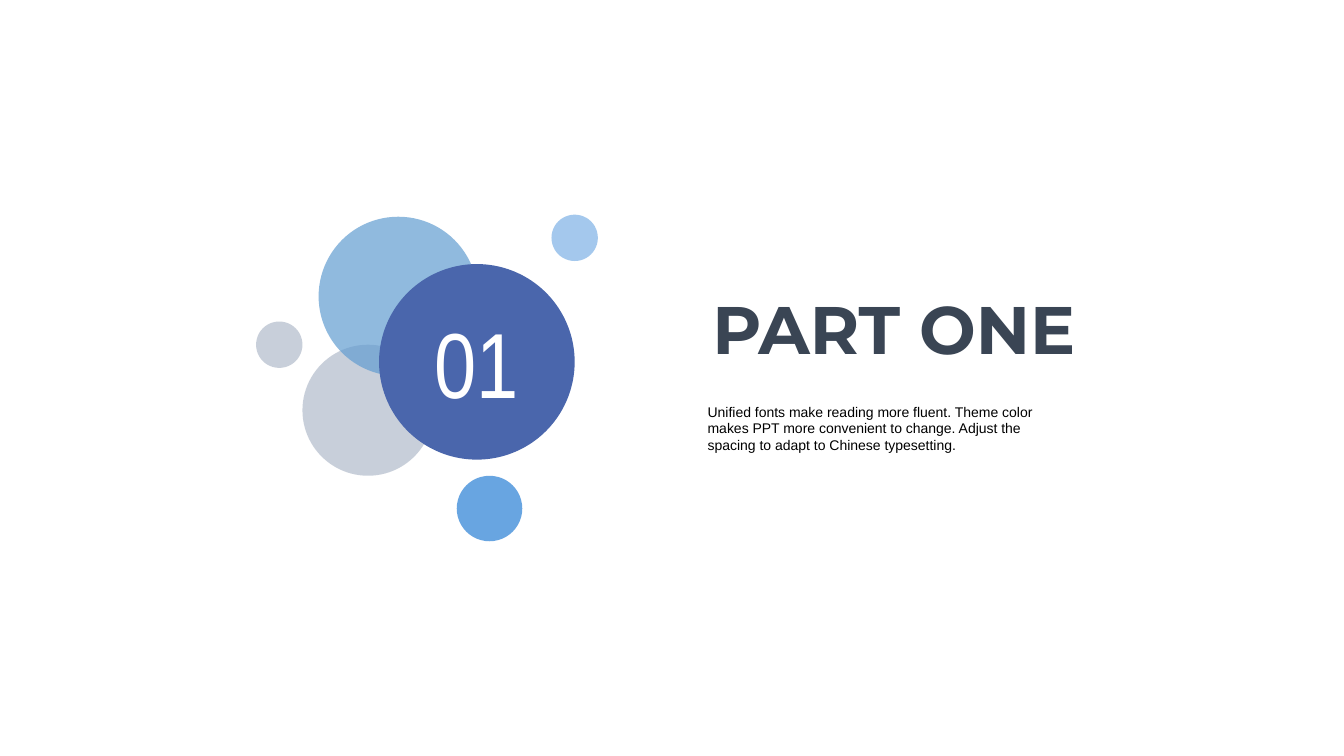
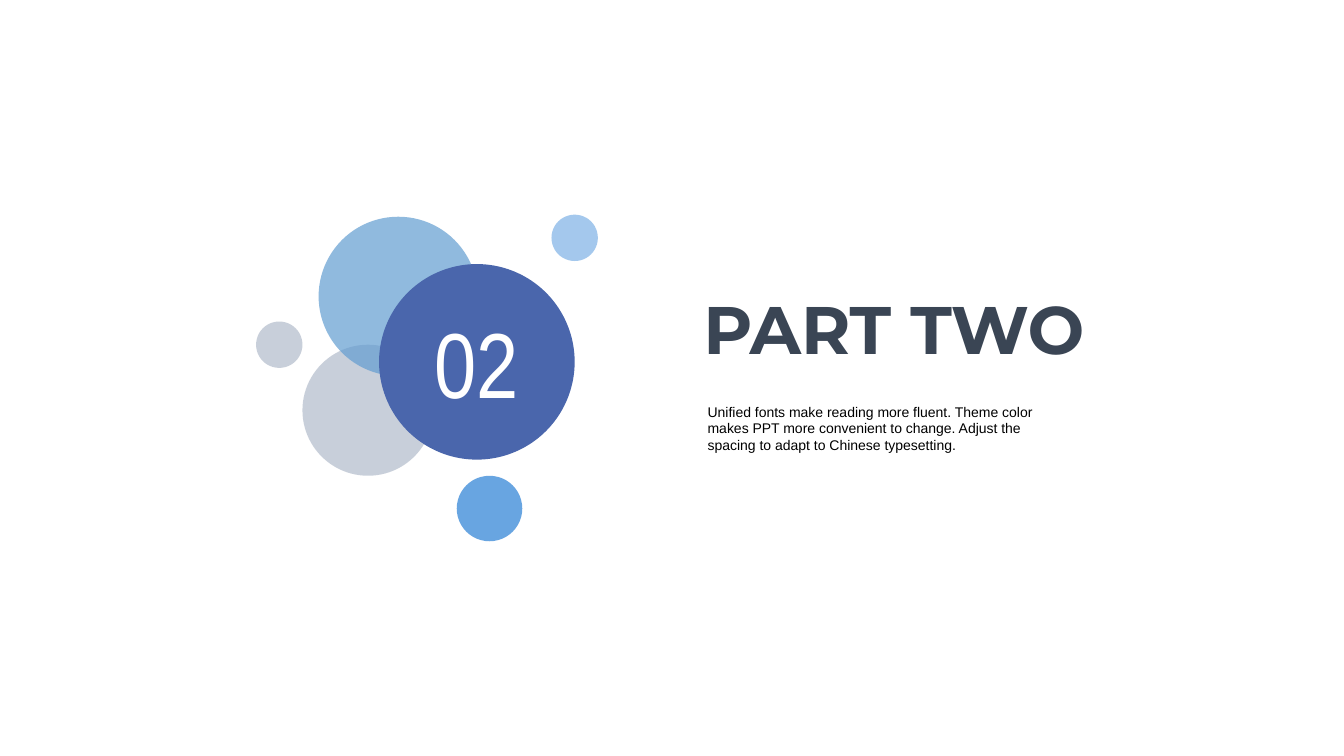
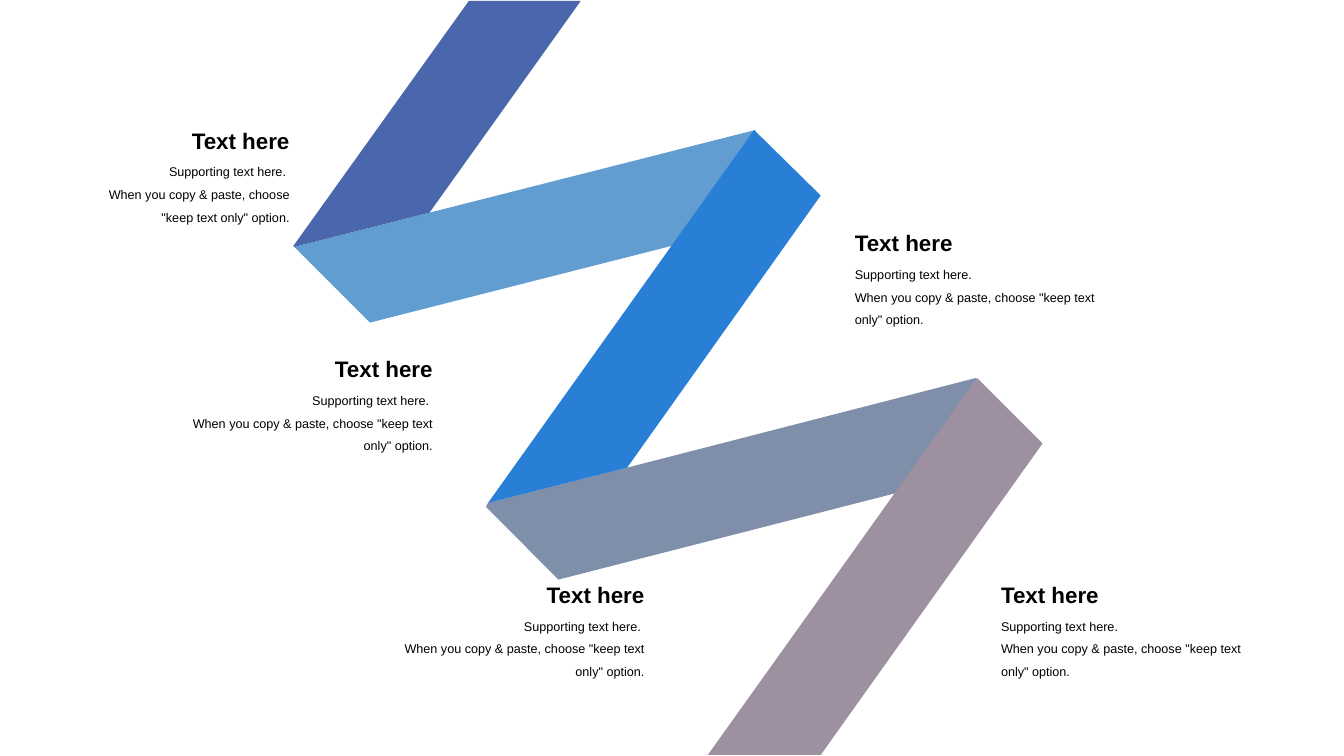
import lxml.etree
import pptx
import pptx.dml.color
import pptx.enum.shapes
import pptx.enum.text
import pptx.oxml.ns
import pptx.util

Inches = pptx.util.Inches
RGBColor = pptx.dml.color.RGBColor
ALIGN = pptx.enum.text.PP_ALIGN
ANCHOR = pptx.enum.text.MSO_ANCHOR

INDIGO = RGBColor(0x4A, 0x66, 0xAC)
SKY = RGBColor(0x62, 0x9D, 0xD1)
BLUE = RGBColor(0x29, 0x7F, 0xD5)
PALE_BLUE = RGBColor(0x7E, 0xB2, 0xE6)
MIST = RGBColor(0xB2, 0xBC, 0xCB)
SLATE = RGBColor(0x7F, 0x8F, 0xA9)
MAUVE = RGBColor(0x9D, 0x90, 0xA0)
NAVY = RGBColor(0x3A, 0x45, 0x54)
BLACK = RGBColor(0, 0, 0)
WHITE = RGBColor(0xFF, 0xFF, 0xFF)

SUMMARY = (
    "Unified fonts make reading more fluent. Theme color makes PPT more "
    "convenient to change. Adjust the spacing to adapt to Chinese typesetting."
)
ADVICE = 'When you copy & paste, choose "keep text only" option.'

BUBBLES = [
    (3, 3.42, 1.3, MIST, 70),
    (3.16, 2.15, 1.58, SKY, 70),
    (3.76, 2.62, 1.94, INDIGO, 100),
    (4.53, 4.72, 0.65, BLUE, 70),
    (2.54, 3.19, 0.46, MIST, 70),
    (5.47, 2.13, 0.46, PALE_BLUE, 70),
]

RIBBON = [
    (SLATE, [(9.68, 3.75), (6.22, 4.64), (4.84, 4.99), (4.82, 5.03),
             (5.54, 5.75), (9.91, 4.63)]),
    (SKY, [(7.49, 1.29), (2.92, 2.45), (3.67, 3.2), (7.72, 2.17)]),
    (INDIGO, [(2.92, 2.45), (4.26, 2.11), (5.76, 0.01), (4.65, 0.01),
              (2.91, 2.44)]),
    (MAUVE, [(9.69, 3.75), (7.02, 7.49), (8.14, 7.49), (10.34, 4.4)]),
    (BLUE, [(8.14, 1.94), (7.48, 1.29), (4.84, 4.99), (6.22, 4.64)]),
]

CALLOUTS = [
    (9.83, 5.71, 2.69, ALIGN.LEFT),
    (0.73, 1.2, 2.24, ALIGN.RIGHT),
    (3.86, 5.71, 2.63, ALIGN.RIGHT),
    (8.38, 2.22, 2.69, ALIGN.LEFT),
    (1.76, 3.47, 2.63, ALIGN.RIGHT),
]


def write(frame, text, size=10, font="Arial", color=BLACK, bold=False,
          align=ALIGN.LEFT, anchor=ANCHOR.MIDDLE, spacing=1.0, wrap=True):
    frame.word_wrap = wrap
    frame.vertical_anchor = anchor
    for index, line in enumerate(text.split("\n")):
        paragraph = frame.add_paragraph() if index else frame.paragraphs[0]
        paragraph.alignment = align
        paragraph.line_spacing = spacing
        run = paragraph.add_run()
        run.text = line
        run.font.size = pptx.util.Pt(size)
        run.font.name = font
        run.font.bold = bold
        run.font.color.rgb = color


class Deck:
    def __init__(self):
        self.presentation = pptx.Presentation()
        self.presentation.slide_width = Inches(13.33)
        self.presentation.slide_height = Inches(7.5)
        self.slide = None

    def new_slide(self):
        self.slide = self.presentation.slides.add_slide(
            self.presentation.slide_layouts[6])

    def paint(self, shape, color, opacity=100):
        shape.shadow.inherit = False
        shape.fill.solid()
        shape.fill.fore_color.rgb = color
        shape.line.fill.background()
        if opacity < 100:
            qn = pptx.oxml.ns.qn
            tint = shape.element.spPr.find(".//" + qn("a:srgbClr"))
            lxml.etree.SubElement(tint, qn("a:alpha"), val=str(opacity * 1000))

    def bubble(self, left, top, diameter, color, opacity):
        circle = self.slide.shapes.add_shape(
            pptx.enum.shapes.MSO_SHAPE.OVAL, Inches(left), Inches(top),
            Inches(diameter), Inches(diameter))
        self.paint(circle, color, opacity)
        return circle

    def fold(self, color, corners):
        points = [(Inches(x), Inches(y)) for x, y in corners]
        outline = self.slide.shapes.build_freeform(*points[0])
        outline.add_line_segments(points[1:], close=True)
        self.paint(outline.convert_to_shape(), color)

    def label(self, left, top, width, height, text, side_inset=0.1, **style):
        frame = self.slide.shapes.add_textbox(
            Inches(left), Inches(top), Inches(width), Inches(height)).text_frame
        frame.margin_left = frame.margin_right = Inches(side_inset)
        write(frame, text, **style)

    def callout(self, left, top, width, align):
        support = "Supporting text here."
        if align == ALIGN.RIGHT:
            support += " "
        self.label(left, top + 0.37, width, 0.64, f"{support}\n{ADVICE}",
                   size=9, align=align, spacing=1.5)
        self.label(left, top, width, 0.38, "Text here",
                   size=16, bold=True, align=align)

    def section(self, number, title):
        self.new_slide()
        for left, top, diameter, color, opacity in BUBBLES:
            circle = self.bubble(left, top, diameter, color, opacity)
            if color == INDIGO:
                write(circle.text_frame, number, size=66, font="Arial Narrow",
                      color=WHITE, align=ALIGN.CENTER, wrap=False)
        self.label(6.94, 2.76, 3.85, 0.99, title, side_inset=0, size=48,
                   font="Montserrat", color=NAVY, bold=True,
                   align=ALIGN.CENTER, wrap=False)
        self.label(6.92, 3.95, 3.58, 0.61, SUMMARY, anchor=ANCHOR.TOP)

    def ribbon(self):
        self.new_slide()
        for color, corners in RIBBON:
            self.fold(color, corners)
        for place in CALLOUTS:
            self.callout(*place)


def main():
    deck = Deck()
    deck.section("01", "PART ONE")
    deck.section("02", "PART TWO")
    deck.ribbon()
    deck.presentation.save("out.pptx")


if __name__ == "__main__":
    main()
